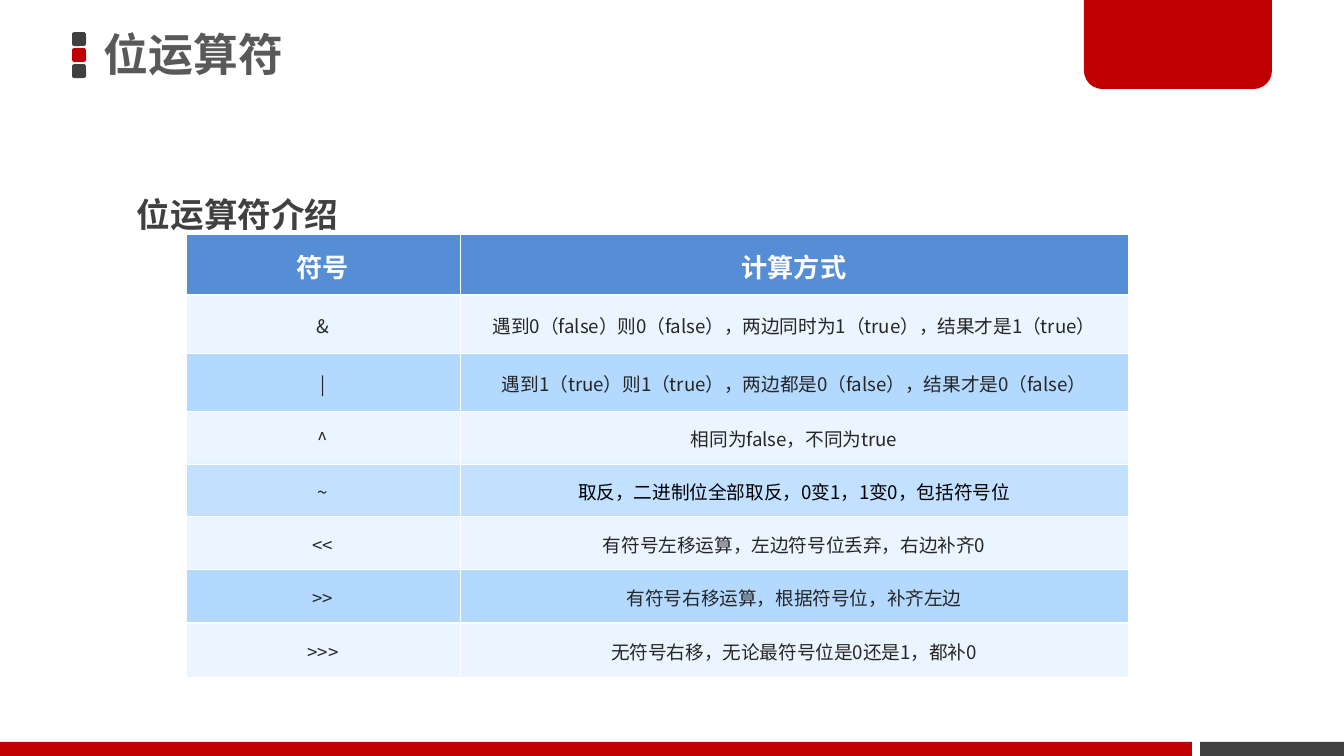
from dataclasses import dataclass

from lxml.etree import SubElement as Sub
from pptx import Presentation
from pptx.dml.color import RGBColor as Rgb
from pptx.enum.shapes import MSO_SHAPE as Kind
from pptx.enum.text import MSO_ANCHOR as Anchor
from pptx.enum.text import MSO_AUTO_SIZE as Fit
from pptx.enum.text import PP_ALIGN as Align
from pptx.oxml.ns import qn
from pptx.util import Pt

SCALE = 914400 / 134.4


def px(n):
    return round(n * SCALE)


@dataclass(frozen=True)
class Theme:
    face: str = "Noto Sans CJK SC"
    red: str = "C00000"
    dark: str = "404040"
    gray: str = "595959"
    ink: str = "262626"
    black: str = "000000"
    white: str = "FFFFFF"
    head: str = "558ED5"
    pale: str = "EBF5FF"
    band: str = "B3D9FF"
    title: int = 24
    sub: int = 18
    label: int = 14
    body: int = 10
    thin: float = 0.45
    thick: float = 1.47


class Page:
    def __init__(self, slide, theme):
        self.slide = slide
        self.theme = theme

    def block(self, kind, box, color, *adjust):
        shape = self.slide.shapes.add_shape(kind, *map(px, box))
        shape.shadow.inherit = False
        shape.fill.solid()
        shape.fill.fore_color.rgb = Rgb.from_string(color)
        shape.line.fill.background()
        for i, value in enumerate(adjust):
            shape.adjustments[i] = value

    def style(self, para, size, color, bold=False):
        font = para.font
        font.size = Pt(size)
        font.bold = bold
        font.color.rgb = Rgb.from_string(color)
        font.name = self.theme.face
        props = para._p.pPr.find(qn("a:defRPr"))
        Sub(props, qn("a:ea"), typeface=self.theme.face)

    def text(self, box, words, size, color, space, anchor, inset, fit):
        frame = self.slide.shapes.add_textbox(*map(px, box)).text_frame
        frame.word_wrap = True
        frame.auto_size = fit
        frame.vertical_anchor = anchor
        side, edge = map(px, inset)
        frame.margin_left = frame.margin_right = side
        frame.margin_top = frame.margin_bottom = edge
        para = frame.paragraphs[0]
        para.text = words
        para.line_spacing = space
        self.style(para, size, color, True)

    def border(self, cell, widths):
        props = cell._tc.get_or_add_tcPr()
        for side, width in zip("LRTB", widths):
            line = Sub(props, qn(f"a:ln{side}"), w=str(Pt(width)))
            fill = Sub(line, qn("a:solidFill"))
            Sub(fill, qn("a:srgbClr"), val=self.theme.white)

    def paint(self, cell, color, alpha):
        cell.fill.solid()
        cell.fill.fore_color.rgb = Rgb.from_string(color)
        if alpha < 100:
            tint = cell._tc.tcPr.find(f"{qn('a:solidFill')}/{qn('a:srgbClr')}")
            Sub(tint, qn("a:alpha"), val=str(alpha * 1000))

    def cell(self, cell, words, fill, ink, alpha, head, under):
        theme = self.theme
        top = theme.thick if under else theme.thin
        low = theme.thick if head else theme.thin
        self.border(cell, (theme.thin, theme.thin, top, low))
        self.paint(cell, fill, alpha)
        para = cell.text_frame.paragraphs[0]
        para.text = words
        para.alignment = Align.CENTER
        if head:
            para.line_spacing = Pt(24)
            self.style(para, theme.label, theme.white, True)
        else:
            cell.vertical_anchor = Anchor.MIDDLE
            cell.margin_top = px(3)
            cell.margin_bottom = 0
            self.style(para, theme.body, ink)

    def table(self, left, top, cols, highs, rows, head=False):
        theme = self.theme
        box = map(px, (left, top, sum(cols), sum(highs)))
        table = self.slide.shapes.add_table(len(rows), len(cols), *box).table
        table.first_row = head
        table.horz_banding = False
        for col, wide in zip(table.columns, cols):
            col.width = px(wide)
        for i, (row, high) in enumerate(zip(rows, highs)):
            table.rows[i].height = px(high)
            first = head and i == 0
            faint = row[0] == "~"
            fill = theme.head if first else theme.band if head and i % 2 == 0 else theme.pale
            for j, words in enumerate(row):
                ink = theme.black if faint and j else theme.ink
                self.cell(table.cell(i, j), words, fill, ink,
                          80 if faint else 100, first, head and i == 1)


ROWS = [
    ("符号", "计算方式"),
    ("&", "遇到0（false）则0（false），两边同时为1（true），结果才是1（true）"),
    ("|", "遇到1（true）则1（true），两边都是0（false），结果才是0（false）"),
    ("^", "相同为false，不同为true"),
    ("~", "取反，二进制位全部取反，0变1，1变0，包括符号位"),
    ("<<", "有符号左移运算，左边符号位丢弃，右边补齐0"),
    (">>", "有符号右移运算，根据符号位，补齐左边"),
]
LAST = [(">>>", "无符号右移，无论最符号位是0还是1，都补0")]


def main():
    deck = Presentation()
    deck.slide_width, deck.slide_height = px(1344), px(756)
    theme = Theme()
    page = Page(deck.slides.add_slide(deck.slide_layouts[6]), theme)

    for i, color in enumerate((theme.dark, theme.red, theme.dark)):
        page.block(Kind.ROUNDED_RECTANGLE, (72, 32 + 16 * i, 14, 14), color, 0.17)
    page.block(Kind.RECTANGLE, (1200, 742, 144, 14), theme.dark)
    page.block(Kind.ROUND_2_SAME_RECTANGLE, (1084, -3, 188, 92), theme.red, 0, 0.2)
    page.block(Kind.RECTANGLE, (0, 742, 1192, 14), theme.red)

    page.text((93, -3, 792, 120), "位运算符", theme.title, theme.gray,
              0.9, Anchor.MIDDLE, (11, 5), Fit.NONE)
    page.text((124, 167, 516, 74), "位运算符介绍", theme.sub, theme.dark,
              1.5, Anchor.TOP, (13, 7), Fit.SHAPE_TO_FIT_TEXT)

    cols = (274, 668)
    highs = (61, 58, 58, 53, 53, 53, 53)
    page.table(186, 234, cols, highs, ROWS, True)
    page.table(186, 234 + sum(highs), cols, (54,), LAST)
    deck.save("out.pptx")


if __name__ == "__main__":
    main()
